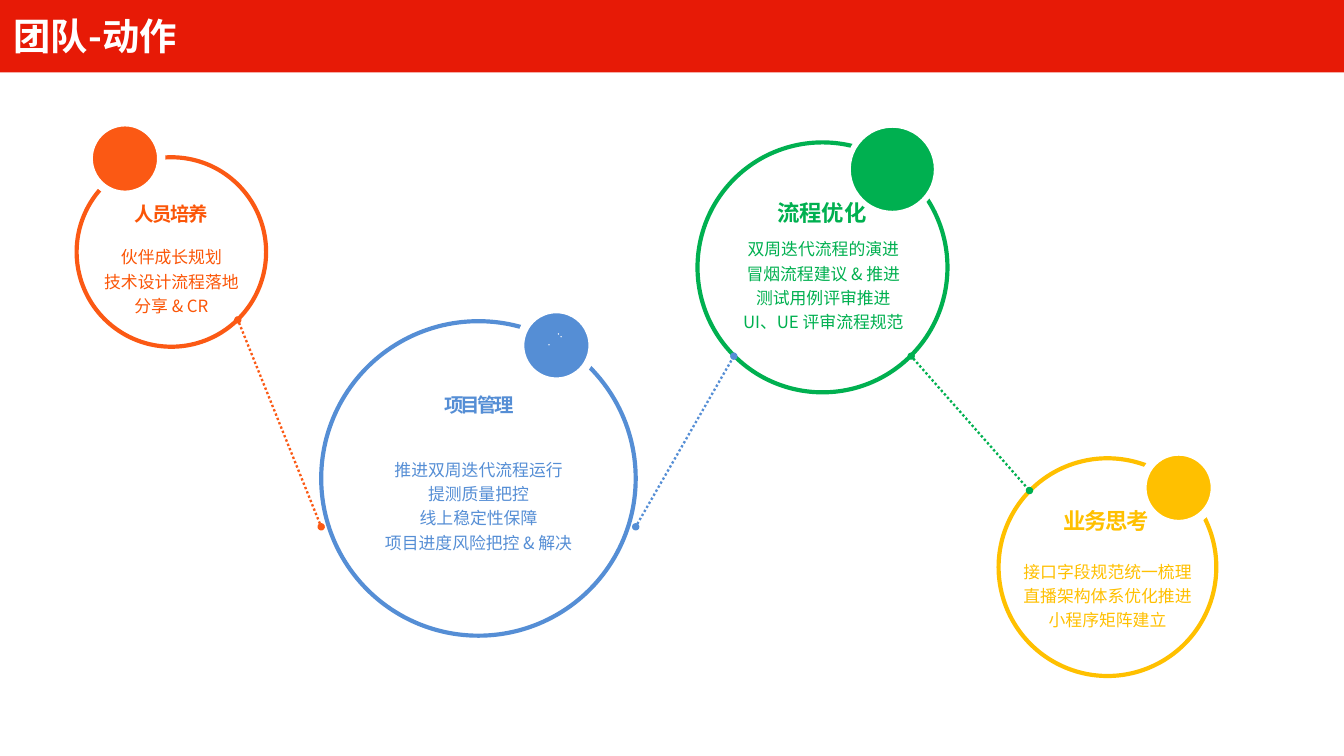
from dataclasses import dataclass

from lxml.etree import SubElement
from pptx import Presentation
from pptx.dml.color import RGBColor
from pptx.enum.dml import MSO_LINE
from pptx.enum.shapes import MSO_CONNECTOR, MSO_SHAPE
from pptx.enum.text import MSO_ANCHOR, MSO_AUTO_SIZE, PP_ALIGN
from pptx.oxml.ns import qn
from pptx.util import Inches, Pt

FONT = "Noto Sans CJK SC"
WHITE = RGBColor(0xFF, 0xFF, 0xFF)
RED = RGBColor(0xE7, 0x1A, 0x06)
BLUE = RGBColor(0x55, 0x8E, 0xD5)
YELLOW = RGBColor(0xFF, 0xC0, 0x00)
ORANGE = RGBColor(0xFB, 0x59, 0x14)
DEEP_ORANGE = RGBColor(0xFB, 0x55, 0x07)
GREEN = RGBColor(0x00, 0xB0, 0x50)
ROW_HEIGHT = 0.18


@dataclass(frozen=True)
class Box:
    left: float
    top: float
    width: float
    height: float

    def emu(self) -> tuple:
        return tuple(Inches(v) for v in (self.left, self.top, self.width, self.height))


@dataclass(frozen=True)
class Action:
    heading: str
    tasks: tuple
    color: RGBColor
    text_color: RGBColor
    ring: Box
    badge: Box
    heading_box: Box
    tasks_left: float
    tasks_middle: float
    tasks_width: float
    rows: int
    heading_size: float = 12
    raised: int = 0
    spacing: float = 0
    ring_fill: RGBColor | None = None
    badge_edge: float = 4.5


@dataclass(frozen=True)
class Link:
    start: tuple
    end: tuple
    color: RGBColor


ACTIONS = (
    Action("项目管理",
           ("推进双周迭代流程运行", "提测质量把控", "线上稳定性保障", "项目进度风险把控 & 解决"),
           BLUE, BLUE, Box(2.39, 2.39, 2.34, 2.34), Box(3.87, 2.3, 0.54, 0.54),
           Box(2.76, 2.9, 1.61, 0.29), 2.39, 3.75, 2.34, 4,
           heading_size=18, raised=30, spacing=-1.4),
    Action("业务思考",
           ("接口字段规范统一梳理", "直播架构体系优化推进", "小程序矩阵建立"),
           YELLOW, YELLOW, Box(7.43, 3.41, 1.62, 1.62), Box(8.5, 3.36, 0.54, 0.54),
           Box(7.55, 3.71, 1.36, 0.33), 7.43, 4.42, 1.62, 3, spacing=-0.8),
    Action("人员培养",
           ("伙伴成长规划", "技术设计流程落地", "分享 & CR"),
           ORANGE, DEEP_ORANGE, Box(0.57, 1.17, 1.41, 1.41), Box(0.66, 0.91, 0.54, 0.54),
           Box(0.57, 1.46, 1.41, 0.33), 0.65, 2.08, 1.25, 3,
           heading_size=18, raised=30, spacing=-0.8),
    Action("流程优化",
           ("双周迭代流程的演进", "冒烟流程建议 & 推进", "测试用例评审推进", "UI、UE 评审流程规范"),
           GREEN, GREEN, Box(5.19, 1.06, 1.86, 1.86), Box(6.31, 0.93, 0.66, 0.66),
           Box(5.41, 1.42, 1.41, 0.33), 5.42, 2.11, 1.41, 5,
           ring_fill=WHITE, badge_edge=3),
)
LINKS = (
    Link((1.77, 2.38), (2.39, 3.92), ORANGE),
    Link((4.73, 3.92), (5.46, 2.65), BLUE),
    Link((6.78, 2.65), (7.66, 3.65), GREEN),
)
BADGE_FLECKS = ((4.15, 2.48), (4.17, 2.5), (4.08, 2.56))


def write(frame, lines: tuple, *, size: float, color: RGBColor, bold: bool = False,
          align=PP_ALIGN.CENTER, wrap: bool = True, leading: float = 1.0,
          raised: int = 0, spacing: float = 0) -> None:
    frame.auto_size = MSO_AUTO_SIZE.NONE
    frame.word_wrap = wrap
    frame.vertical_anchor = MSO_ANCHOR.MIDDLE
    for index, line in enumerate(lines):
        paragraph = frame.paragraphs[0] if index == 0 else frame.add_paragraph()
        paragraph.alignment = align
        paragraph.line_spacing = leading
        paragraph.space_before = Pt(0)
        run = paragraph.add_run()
        run.text = line
        run.font.size = Pt(size)
        run.font.bold = bold
        run.font.color.rgb = color
        run.font.name = FONT
        properties = run._r.get_or_add_rPr()
        SubElement(properties, qn("a:ea"), typeface=FONT)
        if raised:
            properties.set("baseline", str(raised * 1000))
        if spacing:
            properties.set("spc", str(round(spacing * 100)))


def draw_shape(slide, preset, box: Box, *, fill: RGBColor | None = None,
               edge: RGBColor | None = None, edge_width: float = 0) -> None:
    shape = slide.shapes.add_shape(preset, *box.emu())
    shape.shadow.inherit = False
    if fill is None:
        shape.fill.background()
    else:
        shape.fill.solid()
        shape.fill.fore_color.rgb = fill
    if edge is None:
        shape.line.fill.background()
    else:
        shape.line.color.rgb = edge
        shape.line.width = Pt(edge_width)


def draw_action(slide, action: Action) -> None:
    draw_shape(slide, MSO_SHAPE.OVAL, action.ring, fill=action.ring_fill,
               edge=action.color, edge_width=2.25)
    heading = slide.shapes.add_textbox(*action.heading_box.emu())
    write(heading.text_frame, (action.heading,), size=action.heading_size,
          color=action.text_color, bold=True, wrap=False,
          raised=action.raised, spacing=action.spacing)
    height = action.rows * ROW_HEIGHT + 0.1
    tasks_box = Box(action.tasks_left, action.tasks_middle - height / 2,
                    action.tasks_width, height)
    tasks = slide.shapes.add_textbox(*tasks_box.emu())
    write(tasks.text_frame, action.tasks, size=9, color=action.text_color, leading=1.2)
    draw_shape(slide, MSO_SHAPE.OVAL, action.badge, fill=action.color,
               edge=WHITE, edge_width=action.badge_edge)


def draw_link(slide, link: Link) -> None:
    connector = slide.shapes.add_connector(
        MSO_CONNECTOR.STRAIGHT, *(Inches(v) for v in link.start + link.end))
    connector.line.color.rgb = link.color
    connector.line.width = Pt(1.25)
    connector.line.dash_style = MSO_LINE.ROUND_DOT
    outline = connector.line._get_or_add_ln()
    for tip in ("a:headEnd", "a:tailEnd"):
        SubElement(outline, qn(tip), type="oval", w="sm", len="sm")
    SubElement(connector._element.spPr, qn("a:effectLst"))


def draw_title(slide) -> None:
    draw_shape(slide, MSO_SHAPE.RECTANGLE, Box(0, 0, 10, 0.54), fill=RED)
    title = slide.shapes.title
    title.left, title.top, title.width, title.height = Box(0, -0.04, 7.11, 0.61).emu()
    write(title.text_frame, ("团队-动作",), size=20, color=WHITE, bold=True,
          align=PP_ALIGN.LEFT)
    slide.shapes._spTree.append(title._element)


def main() -> None:
    presentation = Presentation()
    presentation.slide_width = Inches(10)
    presentation.slide_height = Inches(10 * 9 / 16)
    slide = presentation.slides.add_slide(presentation.slide_layouts[5])
    for action in ACTIONS:
        draw_action(slide, action)
    for left, top in BADGE_FLECKS:
        draw_shape(slide, MSO_SHAPE.OVAL, Box(left, top, 0.01, 0.01), fill=WHITE)
    for link in LINKS:
        draw_link(slide, link)
    draw_title(slide)
    presentation.save("out.pptx")


if __name__ == "__main__":
    main()
